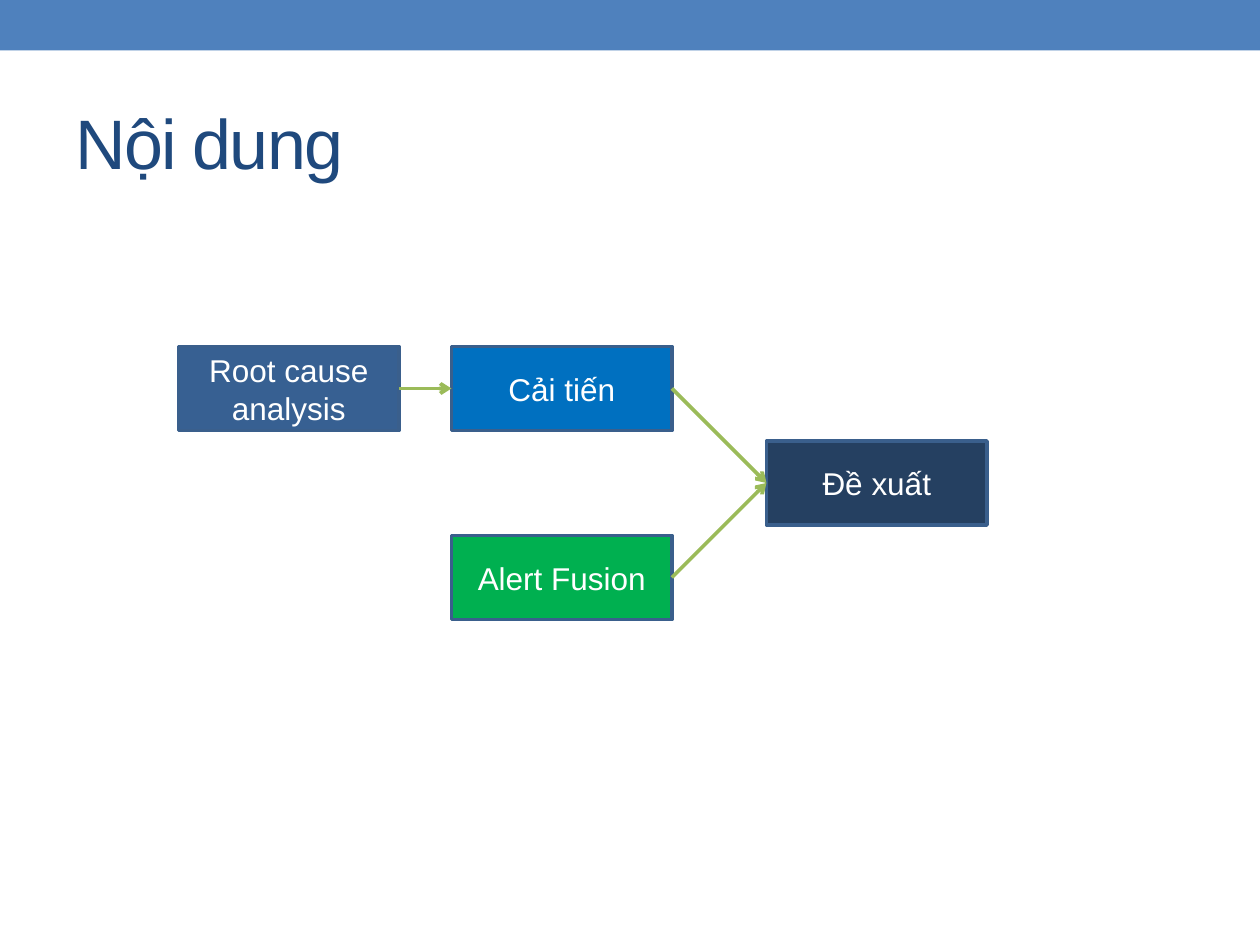
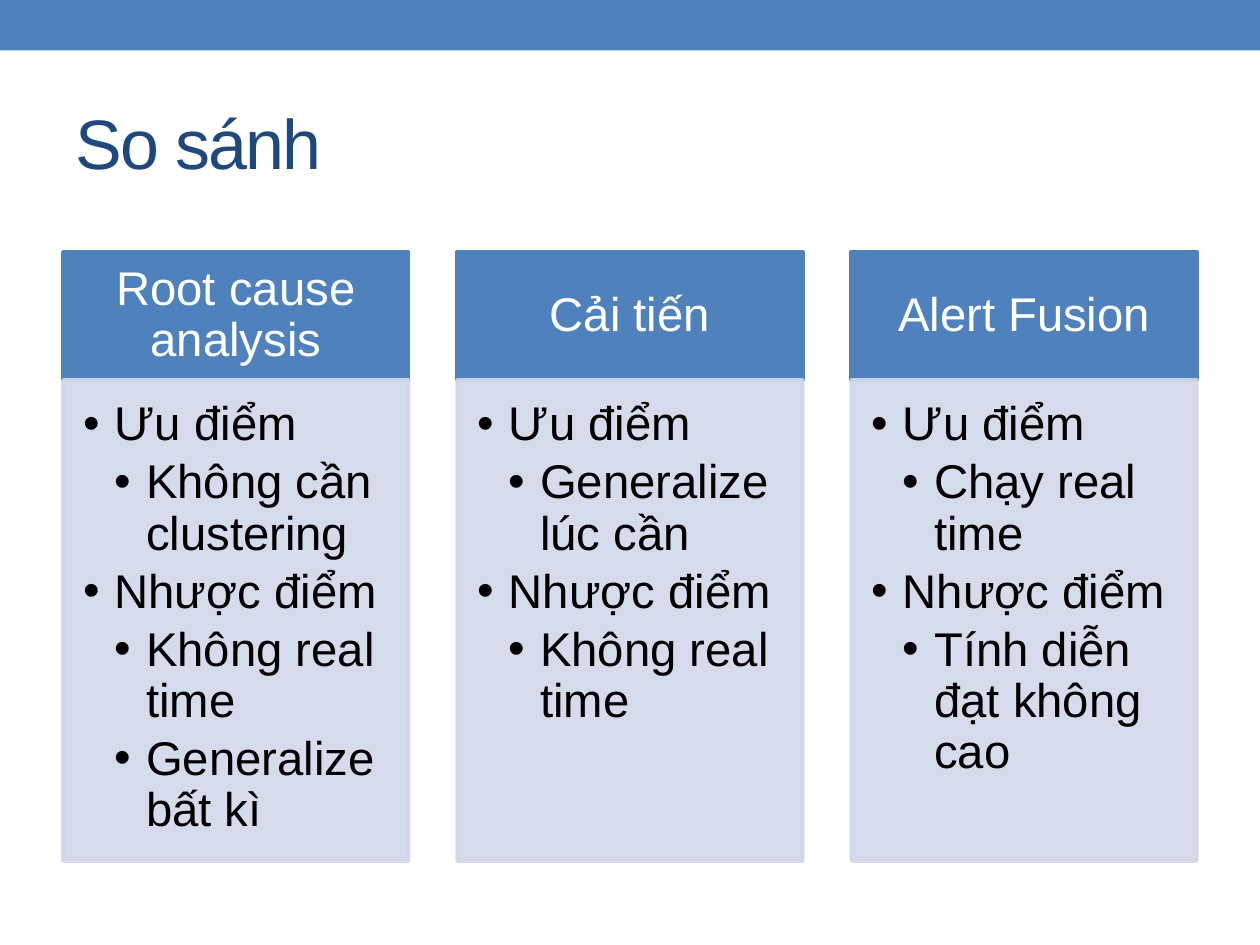
from dataclasses import dataclass

from pptx import Presentation
from pptx.dml.color import RGBColor
from pptx.enum.shapes import MSO_CONNECTOR, MSO_SHAPE
from pptx.enum.text import MSO_ANCHOR, PP_ALIGN
from pptx.oxml.ns import qn
from pptx.oxml.xmlchemy import OxmlElement
from pptx.util import Inches, Pt


@dataclass(frozen=True)
class Theme:
    """Fonts, type sizes, colours and grid of the deck."""
    font: str = "Arial"
    title_size: int = 40
    node_size: int = 18
    card_size: int = 27
    line_width: float = 2.08
    cell: float = 1 / 12
    columns: int = 120
    rows: int = 90
    accent: str = "4F81BD"
    title: str = "1F497D"
    outline: str = "3A5F8C"
    arrow: str = "9BBB59"
    panel: str = "D0D8E8"
    white: str = "FFFFFF"
    black: str = "000000"


@dataclass(frozen=True)
class Box:
    """A rectangle in grid columns and rows."""
    x: float
    y: float
    w: float
    h: float

    def inner(self, dx, dy, w, h):
        """Return a box placed relative to this one."""
        return Box(self.x + dx, self.y + dy, w, h)

    def emu(self):
        """Return left, top, width and height as lengths."""
        return [Inches(v * T.cell) for v in (self.x, self.y, self.w, self.h)]


T = Theme()
PAGE = Box(0, 0, T.columns, T.rows)
TITLE = Box(6, 7, 108, 13)
FLOW = Box(17, 33, 77, 26)
CARDS = Box(6, 24, 108, 58)

NODES = {
    "Root cause analysis": (0, 0, "376092"),
    "Cải tiến": (26, 0, "0070C0"),
    "Alert Fusion": (26, 18, "00B050"),
    "Đề xuất": (56, 9, "254061"),
}
ARROWS = [
    ("Root cause analysis", "Cải tiến"),
    ("Cải tiến", "Đề xuất"),
    ("Alert Fusion", "Đề xuất"),
]
COMPARISON = {
    "Root cause analysis": (["Không cần clustering"], ["Không real time", "Generalize bất kì"]),
    "Cải tiến": (["Generalize lúc cần"], ["Không real time"]),
    "Alert Fusion": (["Chạy real time"], ["Tính diễn đạt không cao"]),
}


def rgb(color):
    """Return a colour object for a hex string."""
    return RGBColor.from_string(color)


def add_child(parent, tag, **attrs):
    """Append an XML child with the given attributes."""
    child = OxmlElement(tag)
    for name, value in attrs.items():
        child.set(name, str(value))
    parent.append(child)
    return child


def add_run(p, text, size, color):
    """Add one styled run to a paragraph."""
    r = p.add_run()
    r.text = text
    r.font.name, r.font.size = T.font, Pt(size)
    r.font.color.rgb = rgb(color)
    return r


def set_frame(tf, anchor, insets=(0.1, 0.05, 0.1, 0.05)):
    """Set wrapping, anchor and insets of a text frame."""
    tf.word_wrap = True
    tf.vertical_anchor = anchor
    tf.margin_left, tf.margin_top, tf.margin_right, tf.margin_bottom = map(Inches, insets)


def add_rect(s, box, fill, line=None):
    """Add a flat rectangle, outlined if a line colour is given."""
    sp = s.shapes.add_shape(MSO_SHAPE.RECTANGLE, *box.emu())
    sp.shadow.inherit = False
    sp.fill.solid()
    sp.fill.fore_color.rgb = rgb(fill)
    if line:
        sp.line.color.rgb = rgb(line)
        sp.line.width = Pt(T.line_width)
    else:
        sp.line.fill.background()
    return sp


def add_label(sp, text, size, insets=(0.1, 0.05, 0.1, 0.05)):
    """Write a centred white label in a shape."""
    set_frame(sp.text_frame, MSO_ANCHOR.MIDDLE, insets)
    p = sp.text_frame.paragraphs[0]
    p.alignment = PP_ALIGN.CENTER
    add_run(p, text, size, T.white)
    return p


def add_arrow(s, start, end):
    """Join the right side of one node to the left side of another."""
    cx = s.shapes.add_connector(MSO_CONNECTOR.STRAIGHT, 0, 0, 0, 0)
    cx.begin_connect(start, 3)
    cx.end_connect(end, 1)
    cx.line.color.rgb = rgb(T.arrow)
    cx.line.width = Pt(T.line_width)
    spPr = cx._element.spPr
    add_child(spPr.find(qn("a:ln")), "a:tailEnd", type="arrow")
    add_child(spPr, "a:effectLst")


def add_bullet(p, text, level):
    """Write a bulleted paragraph at the given level."""
    p.level = level
    p.line_spacing, p.space_after = 0.9, Pt(4)
    pPr = p._p.get_or_add_pPr()
    pPr.set("marL", str(Inches(0.25 * (level + 1))))
    pPr.set("indent", str(Inches(-0.25)))
    add_child(pPr, "a:buFont", typeface=T.font)
    add_child(pPr, "a:buChar", char="•")
    add_run(p, text, T.card_size, T.black)


def add_base(prs, title):
    """Add a blank slide with the top band and title."""
    s = prs.slides.add_slide(prs.slide_layouts[6])
    add_rect(s, PAGE.inner(0, 0, PAGE.w, 4.8), T.accent)
    tf = s.shapes.add_textbox(*TITLE.emu()).text_frame
    set_frame(tf, MSO_ANCHOR.MIDDLE)
    r = add_run(tf.paragraphs[0], title, T.title_size, T.title)
    r._r.get_or_add_rPr().set("spc", "-100")
    return s


def add_flow(s, box):
    """Draw the nodes and arrows of the content flow."""
    shapes = {}
    for name, (col, row, fill) in NODES.items():
        shapes[name] = add_rect(s, box.inner(col, row, 21, 8), fill, T.outline)
        add_label(shapes[name], name, T.node_size)
    for start, end in ARROWS:
        add_arrow(s, shapes[start], shapes[end])


def add_card(s, box, name, pros, cons):
    """Draw a header over a panel of pros and cons."""
    head_h = box.h * 0.21
    head = add_rect(s, box.inner(0, 0, box.w, head_h), T.accent, T.accent)
    p = add_label(head, name, T.card_size, (0.21, 0.12, 0.21, 0.12))
    p.line_spacing = 0.9
    panel = add_rect(s, box.inner(0, head_h, box.w, box.h - head_h), T.panel, T.panel)
    for color in panel._element.spPr.iter(qn("a:srgbClr")):
        add_child(color, "a:alpha", val=90000)
    tf = panel.text_frame
    set_frame(tf, MSO_ANCHOR.TOP, (0.16, 0.16, 0.21, 0.24))
    items = [("Ưu điểm", 0), *((t, 1) for t in pros),
             ("Nhược điểm", 0), *((t, 1) for t in cons)]
    for i, (text, level) in enumerate(items):
        p = tf.add_paragraph() if i else tf.paragraphs[0]
        p.alignment = PP_ALIGN.LEFT
        add_bullet(p, text, level)


def add_cards(s, box):
    """Lay out the comparison cards in equal columns."""
    n, gap = len(COMPARISON), 0.14
    w = box.w / (n + gap * (n - 1))
    for i, (name, (pros, cons)) in enumerate(COMPARISON.items()):
        add_card(s, box.inner(i * w * (1 + gap), 0, w, box.h), name, pros, cons)


def main():
    """Build and save the deck."""
    prs = Presentation()
    prs.slide_width, prs.slide_height = PAGE.emu()[2:]
    add_flow(add_base(prs, "Nội dung"), FLOW)
    add_cards(add_base(prs, "So sánh"), CARDS)
    prs.save("out.pptx")


if __name__ == "__main__":
    main()
